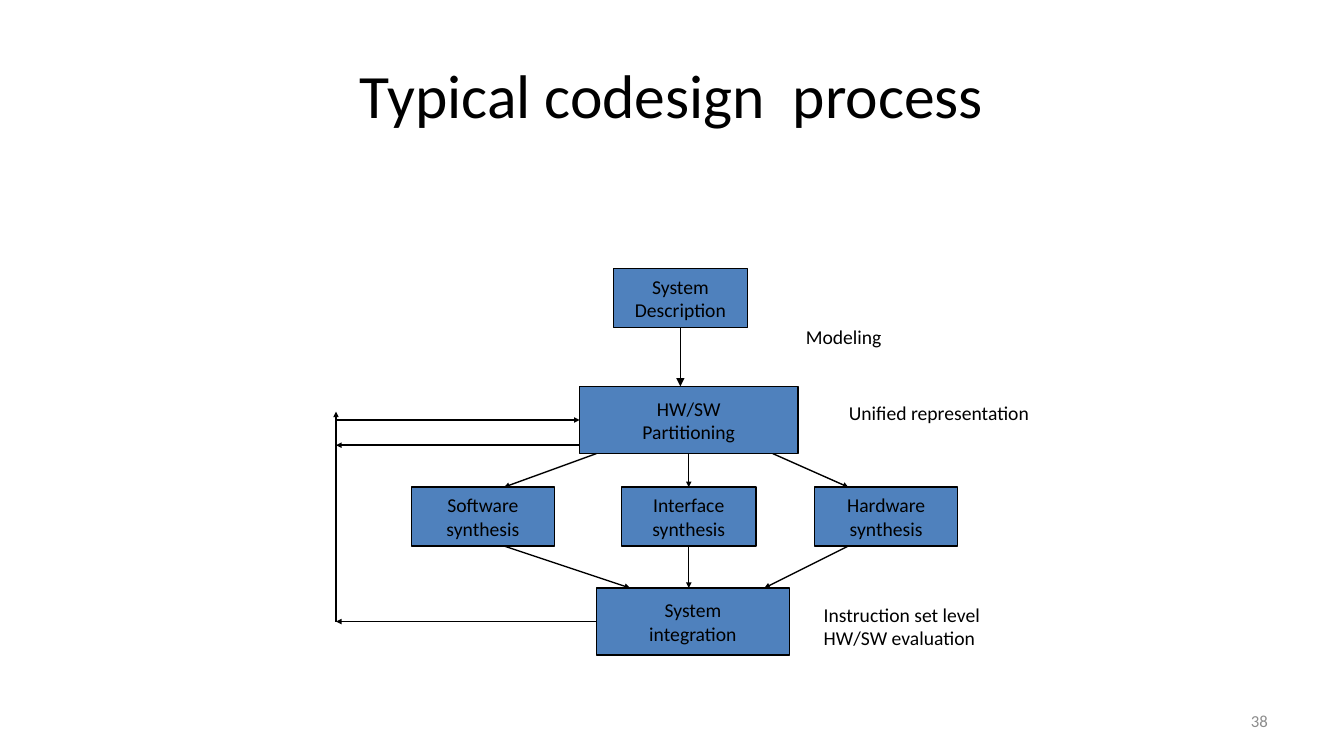
from dataclasses import dataclass
from typing import Any, Optional

from lxml.etree import SubElement
from pptx import Presentation
from pptx.dml.color import RGBColor
from pptx.enum.shapes import MSO_CONNECTOR, MSO_SHAPE
from pptx.enum.text import MSO_ANCHOR, MSO_AUTO_SIZE, PP_ALIGN
from pptx.oxml.ns import qn
from pptx.shapes.autoshape import Shape
from pptx.shapes.connector import Connector
from pptx.slide import Slide
from pptx.text.text import TextFrame
from pptx.util import Pt

EMU_PER_PX = 9525
BLACK = RGBColor(0x00, 0x00, 0x00)
BLUE = RGBColor(0x4F, 0x81, 0xBD)
GRAY = RGBColor(0x8C, 0x8C, 0x8C)
TOP, LEFT, BOTTOM = 0, 1, 2

STAGE_FRAME = {"word_wrap": False, "vertical_anchor": MSO_ANCHOR.MIDDLE}
LABEL_FRAME = {"word_wrap": False, "auto_size": MSO_AUTO_SIZE.SHAPE_TO_FIT_TEXT}
WRAPPED_FRAME = {"word_wrap": True, "vertical_anchor": MSO_ANCHOR.MIDDLE}


@dataclass(frozen=True)
class Box:
    text: str
    left: int
    top: int
    width: int
    height: int


@dataclass(frozen=True)
class Joint:
    stage: str
    side: int


@dataclass(frozen=True)
class Arrow:
    start: tuple[int, int]
    end: tuple[int, int]
    source: Optional[Joint] = None
    target: Optional[Joint] = None
    head: str = "sm"


TITLE = Box("Typical codesign  process", 64, 29, 1152, 120)
PAGE_NUMBER = Box("38", 918, 667, 299, 38)

STAGES = {
    "description": Box("System\nDescription", 584, 256, 128, 56),
    "partitioning": Box("HW/SW\nPartitioning", 552, 368, 208, 64),
    "software": Box("Software\nsynthesis", 392, 464, 136, 56),
    "interface": Box("Interface\nsynthesis", 592, 464, 128, 56),
    "hardware": Box("Hardware\nsynthesis", 776, 464, 136, 56),
    "integration": Box("System\nintegration", 568, 560, 184, 64),
}

ARROWS = [
    Arrow((648, 312), (648, 368), source=Joint("description", BOTTOM), head="med"),
    Arrow((656, 432), (656, 464), Joint("partitioning", BOTTOM), Joint("interface", TOP)),
    Arrow((568, 432), (480, 464)),
    Arrow((736, 432), (808, 464)),
    Arrow((480, 520), (600, 560)),
    Arrow((656, 520), (656, 560), source=Joint("interface", BOTTOM)),
    Arrow((808, 520), (728, 560)),
    Arrow((568, 592), (320, 592), source=Joint("integration", LEFT)),
    Arrow((320, 592), (320, 392)),
    Arrow((320, 400), (552, 400), target=Joint("partitioning", LEFT)),
    Arrow((552, 424), (320, 424)),
]

LABELS = [
    Box("Modeling", 758, 305, 92, 32),
    Box("Unified representation", 799, 377, 193, 33),
    Box("Instruction set level\nHW/SW evaluation", 775, 569, 170, 55),
]


def px(*lengths: int) -> list[int]:
    return [length * EMU_PER_PX for length in lengths]


def apply_format(item: Any, values: dict[str, Any]) -> None:
    for name, value in values.items():
        setattr(item, name, value)


def write_text(
    text_frame: TextFrame,
    text: str,
    frame_format: dict[str, Any],
    size: int = 14,
    color: RGBColor = BLACK,
    alignment: PP_ALIGN = PP_ALIGN.LEFT,
) -> None:
    text_frame.text = text
    apply_format(text_frame, frame_format)
    for paragraph in text_frame.paragraphs:
        paragraph.alignment = alignment
        for run in paragraph.runs:
            apply_format(run.font, {"name": "Calibri", "size": Pt(size)})
            run.font.color.rgb = color


def add_title(slide: Slide, box: Box) -> None:
    title = slide.shapes.title
    left, top, width, height = px(box.left, box.top, box.width, box.height)
    apply_format(title, {"left": left, "top": top, "width": width, "height": height})
    write_text(title.text_frame, box.text, WRAPPED_FRAME, 44, alignment=PP_ALIGN.CENTER)


def add_stage(slide: Slide, box: Box) -> Shape:
    shape = slide.shapes.add_shape(
        MSO_SHAPE.RECTANGLE, *px(box.left, box.top, box.width, box.height)
    )
    shape.shadow.inherit = False
    shape.fill.solid()
    shape.fill.fore_color.rgb = BLUE
    shape.line.color.rgb = BLACK
    shape.line.width = Pt(1)
    write_text(shape.text_frame, box.text, STAGE_FRAME, alignment=PP_ALIGN.CENTER)
    return shape


def add_label(slide: Slide, box: Box, frame_format: dict[str, Any], **text_format: Any) -> None:
    shape = slide.shapes.add_textbox(*px(box.left, box.top, box.width, box.height))
    write_text(shape.text_frame, box.text, frame_format, **text_format)


def add_arrow(slide: Slide, arrow: Arrow, stages: dict[str, Shape]) -> Connector:
    connector = slide.shapes.add_connector(
        MSO_CONNECTOR.STRAIGHT, *px(*arrow.start, *arrow.end)
    )
    connector.line.color.rgb = BLACK
    connector.line.width = Pt(1)
    line = connector.line._get_or_add_ln()
    SubElement(line, qn("a:tailEnd"), type="triangle", w=arrow.head, len=arrow.head)
    SubElement(connector._element.spPr, qn("a:effectLst"))
    if arrow.source:
        connector.begin_connect(stages[arrow.source.stage], arrow.source.side)
    if arrow.target:
        connector.end_connect(stages[arrow.target.stage], arrow.target.side)
    return connector


def main() -> None:
    presentation = Presentation()
    presentation.slide_width, presentation.slide_height = px(1280, 720)
    slide = presentation.slides.add_slide(presentation.slide_layouts[5])
    add_label(slide, PAGE_NUMBER, WRAPPED_FRAME, size=12, color=GRAY, alignment=PP_ALIGN.RIGHT)
    add_title(slide, TITLE)
    stages = {name: add_stage(slide, box) for name, box in STAGES.items()}
    for arrow in ARROWS:
        add_arrow(slide, arrow, stages)
    for label in LABELS:
        add_label(slide, label, LABEL_FRAME)
    presentation.save("out.pptx")


if __name__ == "__main__":
    main()
